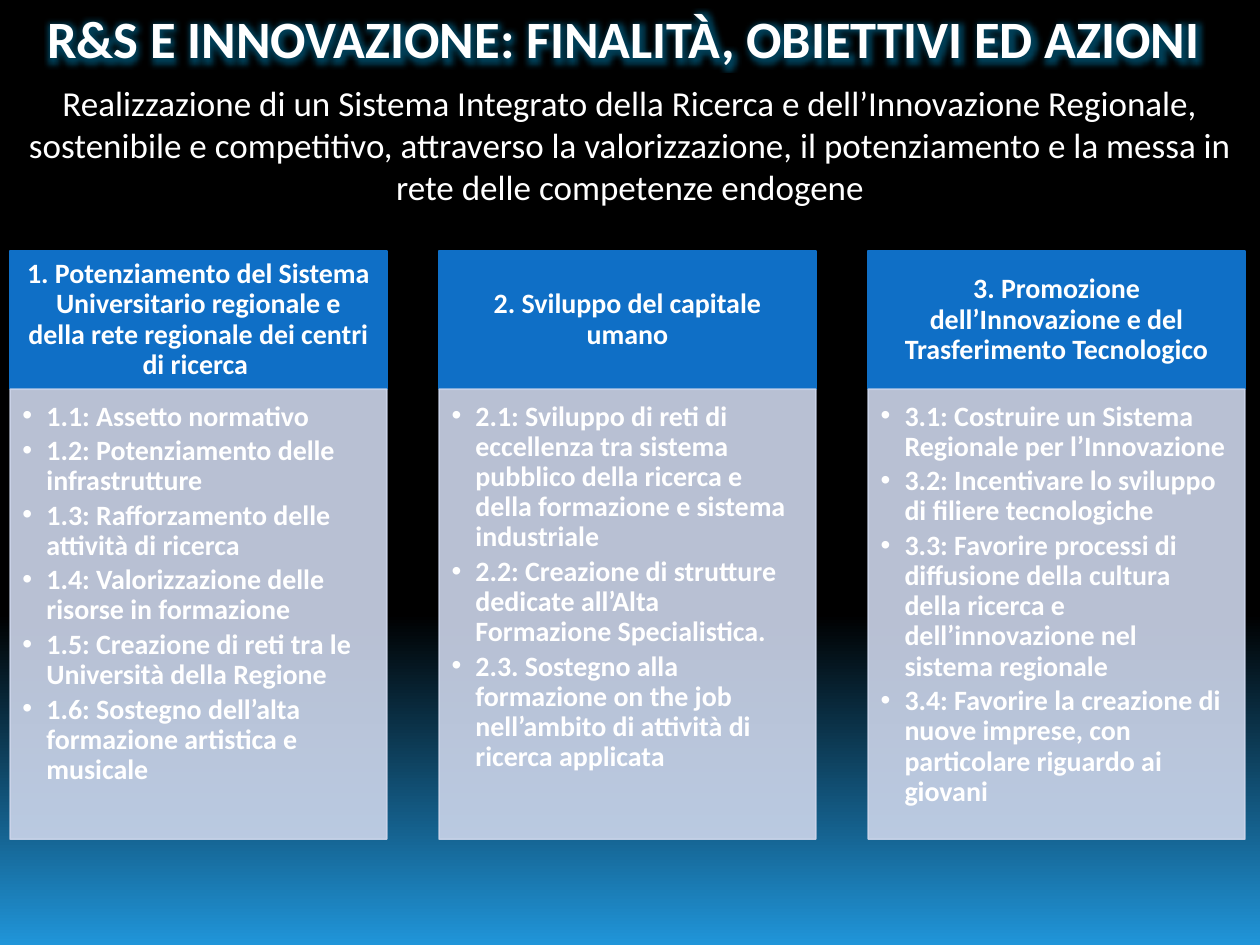
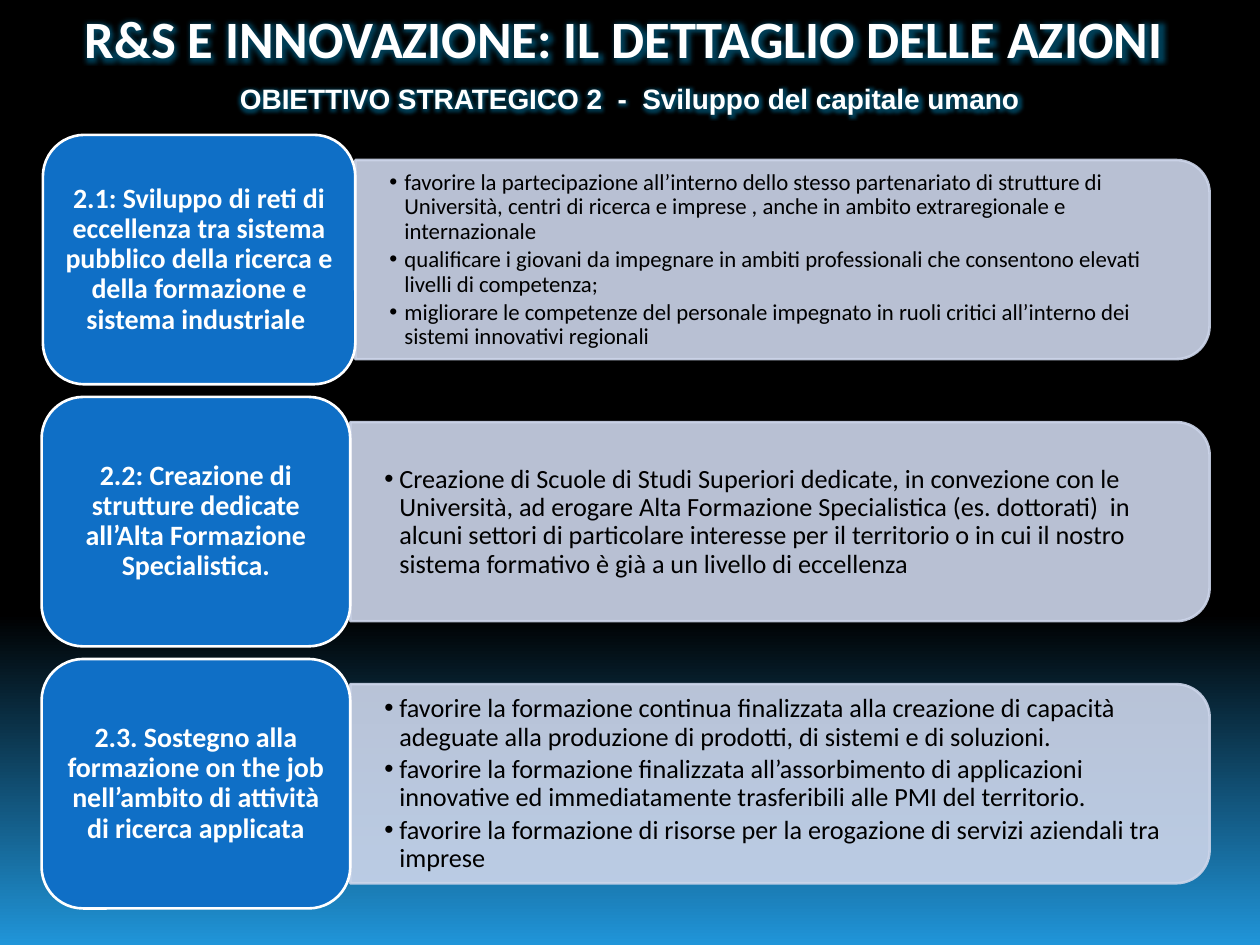
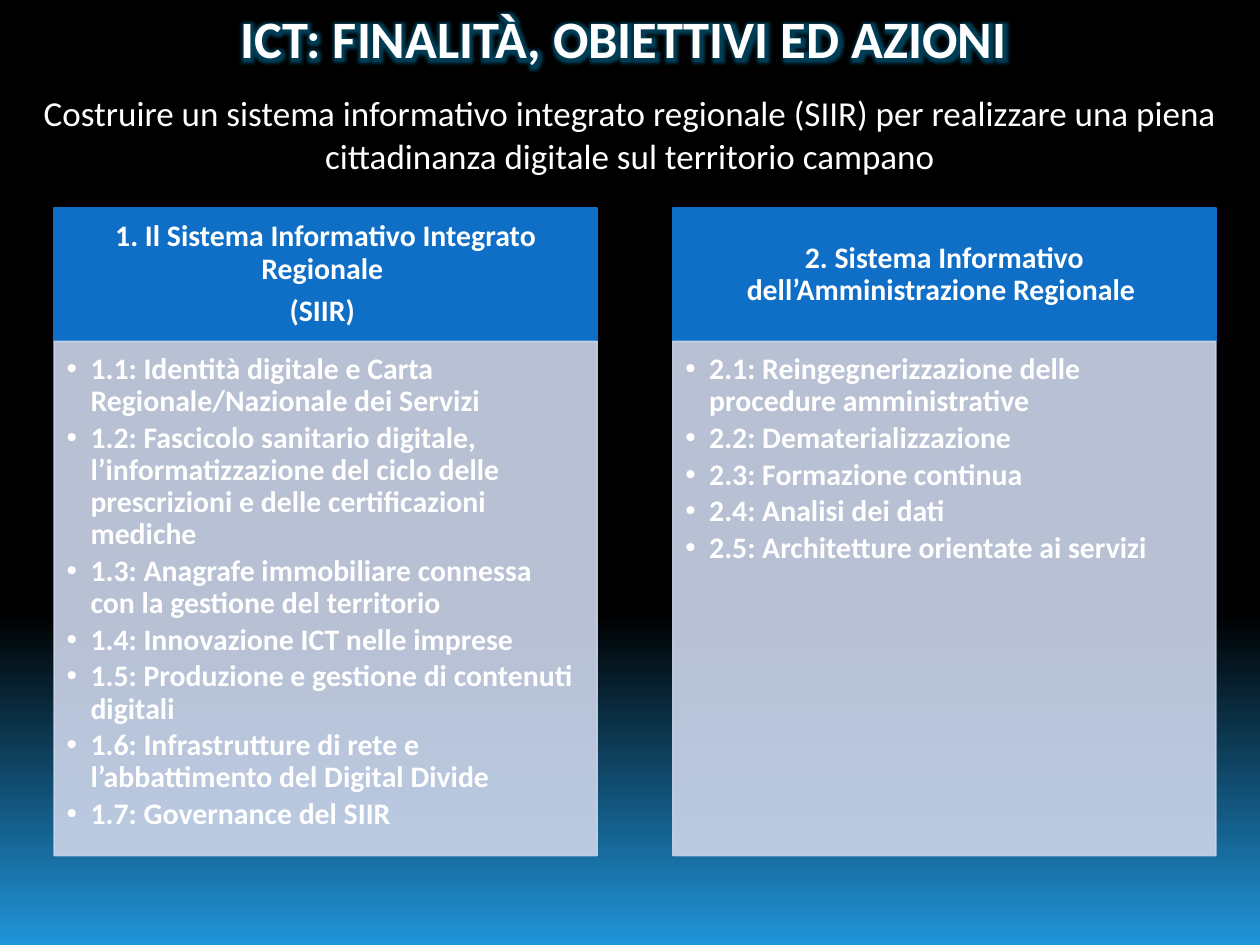
from lxml import etree
from pptx import Presentation
from pptx.dml.color import RGBColor
from pptx.enum import shapes, text
from pptx.oxml.ns import qn
from pptx.util import Inches, Pt

# Shared style
WHITE, BLACK, BLUE, PALE = "FFFFFF", "000000", "0F6FC6", "CCD5EA"
GLOW = "009DD9"
rgb = RGBColor.from_string
CENTER, LEFT = text.PP_ALIGN.CENTER, text.PP_ALIGN.LEFT
TOP, MIDDLE = text.MSO_ANCHOR.TOP, text.MSO_ANCHOR.MIDDLE


def add_box(slide, kind, at, fill, line, width, opacity=100):
    box = slide.shapes.add_shape(kind, *map(Inches, at))
    box.shadow.inherit = False
    box.fill.solid()
    box.fill.fore_color.rgb = rgb(fill)
    box.line.color.rgb = rgb(line)
    box.line.width = Pt(width)
    if opacity < 100:
        for colour in box._element.spPr.iter(qn("a:srgbClr")):
            etree.SubElement(colour, qn("a:alpha"), val=str(opacity * 1000))
    return box


def write(shape, lines, size, colour=WHITE, bold=False, font="Calibri", align=CENTER,
          anchor=MIDDLE, margins=(0.1, 0.05, 0.1, 0.05), spacing=1.0, after=0,
          bullet=0, glow=False):
    """Fill a shape with paragraphs; bullet is the hanging indent in inches."""
    frame = shape.text_frame
    frame.word_wrap = True
    frame.auto_size = text.MSO_AUTO_SIZE.NONE
    frame.vertical_anchor = anchor
    (frame.margin_left, frame.margin_top,
     frame.margin_right, frame.margin_bottom) = map(Inches, margins)
    for i, line in enumerate(lines):
        paragraph = frame.add_paragraph() if i else frame.paragraphs[0]
        paragraph.alignment = align
        paragraph.line_spacing = spacing
        paragraph.space_before = Pt(0)
        paragraph.space_after = Pt(size * after)
        props = paragraph._p.get_or_add_pPr()
        props.set("marL", str(Inches(bullet)))
        props.set("indent", str(-Inches(bullet)))
        if bullet:
            etree.SubElement(props, qn("a:buFont"), typeface="Arial")
            etree.SubElement(props, qn("a:buChar"), char="•")
        else:
            etree.SubElement(props, qn("a:buNone"))
        run = paragraph.add_run()
        run.text = line
        run.font.size, run.font.bold, run.font.name = Pt(size), bold, font
        run.font.color.rgb = rgb(colour)
        if glow:
            effects = etree.Element(qn("a:effectLst"))
            halo = etree.SubElement(effects, qn("a:glow"), rad=str(Pt(8)))
            tint = etree.SubElement(halo, qn("a:srgbClr"), val=GLOW)
            etree.SubElement(tint, qn("a:alpha"), val="40000")
            run.font._element.find(qn("a:solidFill")).addnext(effects)


# Content
headings = [
    dict(title="R&S E INNOVAZIONE: FINALITÀ, OBIETTIVI ED AZIONI ",
         lead="Realizzazione di un Sistema Integrato della Ricerca e dell’Innovazione "
              "Regionale, sostenibile e competitivo, attraverso la valorizzazione, il "
              "potenziamento e la messa in rete delle competenze endogene",
         top=0.6, height=1.11, style=dict(size=20)),
    dict(title="R&S E INNOVAZIONE: IL DETTAGLIO DELLE AZIONI ",
         lead="OBIETTIVO STRATEGICO 2  -  Sviluppo del capitale umano",
         top=0.6, height=0.37, style=dict(size=16, font="Arial", bold=True, glow=True)),
    dict(title="ICT: FINALITÀ, OBIETTIVI ED AZIONI ",
         lead="Costruire un sistema informativo integrato regionale (SIIR) per realizzare "
              "una piena cittadinanza digitale sul territorio campano",
         top=0.68, height=0.77, style=dict(size=20)),
]

research_goals = [
    (["1. Potenziamento del Sistema Universitario regionale e della rete regionale "
      "dei centri di ricerca "],
     ["1.1: Assetto normativo",
      "1.2: Potenziamento delle infrastrutture",
      "1.3: Rafforzamento delle attività di ricerca",
      "1.4: Valorizzazione delle risorse in formazione",
      "1.5: Creazione di reti tra le Università della Regione",
      "1.6: Sostegno dell’alta formazione artistica e musicale"]),
    (["2. Sviluppo del capitale umano"],
     ["2.1: Sviluppo di reti di eccellenza tra sistema pubblico della ricerca e della "
      "formazione e sistema industriale",
      "2.2: Creazione di strutture dedicate all’Alta Formazione Specialistica.",
      "2.3. Sostegno alla formazione on the job nell’ambito di attività di ricerca "
      "applicata"]),
    (["3. Promozione dell’Innovazione e del Trasferimento Tecnologico"],
     ["3.1: Costruire un Sistema Regionale per l’Innovazione",
      "3.2: Incentivare lo sviluppo di filiere tecnologiche",
      "3.3: Favorire processi di diffusione della cultura della ricerca e "
      "dell’innovazione nel sistema regionale",
      "3.4: Favorire la creazione di nuove imprese, con particolare riguardo ai giovani"]),
]

ict_goals = [
    (["1. Il Sistema Informativo Integrato Regionale ", "(SIIR) "],
     ["1.1: Identità digitale e Carta Regionale/Nazionale dei Servizi",
      "1.2: Fascicolo sanitario digitale, l’informatizzazione del ciclo delle "
      "prescrizioni e delle certificazioni mediche",
      "1.3: Anagrafe immobiliare connessa con la gestione del territorio",
      "1.4: Innovazione ICT nelle imprese",
      "1.5: Produzione e gestione di contenuti digitali",
      "1.6: Infrastrutture di rete e l’abbattimento del Digital Divide",
      "1.7: Governance del SIIR"]),
    (["2. Sistema Informativo dell’Amministrazione Regionale "],
     ["2.1: Reingegnerizzazione delle procedure amministrative",
      "2.2: Dematerializzazione",
      "2.3: Formazione continua",
      "2.4: Analisi dei dati",
      "2.5: Architetture orientate ai servizi"]),
]

# Each action: left, width, list size, label, measures
actions = [
    (0.34, 2.48, 13,
     "2.1: Sviluppo di reti di eccellenza tra sistema pubblico della ricerca e della "
     "formazione e sistema industriale ",
     ["favorire la partecipazione all’interno dello stesso partenariato di strutture di "
      "Università, centri di ricerca e imprese , anche in ambito extraregionale e "
      "internazionale",
      "qualificare i giovani da impegnare in ambiti professionali che consentono elevati "
      "livelli di competenza;",
      "migliorare le competenze del personale impegnato in ruoli critici all’interno dei "
      "sistemi innovativi regionali"]),
    (0.33, 2.45, 15,
     "2.2: Creazione di strutture dedicate all’Alta Formazione Specialistica.",
     ["Creazione di Scuole di Studi Superiori dedicate, in convezione con le Università, "
      "ad erogare Alta Formazione Specialistica (es. dottorati)  in alcuni settori di "
      "particolare interesse per il territorio o in cui il nostro sistema formativo è già "
      "a un livello di eccellenza"]),
    (0.33, 2.45, 15,
     "2.3. Sostegno alla formazione on the job nell’ambito di attività di ricerca applicata",
     ["favorire la formazione continua finalizzata alla creazione di capacità adeguate "
      "alla produzione di prodotti, di sistemi e di soluzioni.",
      "favorire la formazione finalizzata all’assorbimento di applicazioni innovative ed "
      "immediatamente trasferibili alle PMI del territorio.",
      "favorire la formazione di risorse per la erogazione di servizi aziendali tra "
      "imprese"]),
]

# Presentation and shared background
deck = Presentation()
deck.slide_width, deck.slide_height = Inches(10), Inches(7.5)
backdrop = deck.slide_master.background.fill
backdrop.gradient()
backdrop.gradient_angle = 270
for stop, position, colour in zip(backdrop.gradient_stops, (0.65, 1), (BLACK, "2095D9")):
    stop.position = position
    stop.color.rgb = rgb(colour)

# Titles and lead statements
for heading in headings:
    slide = deck.slides.add_slide(deck.slide_layouts[1])
    title, lead = slide.placeholders
    for part, top, height in ((title, 0, 0.6), (lead, heading["top"], heading["height"])):
        part.left, part.top = Inches(0), Inches(top)
        part.width, part.height = Inches(10), Inches(height)
    write(title, [heading["title"]], size=30, bold=True, glow=True)
    write(lead, [heading["lead"]], anchor=TOP, **heading["style"])
research, detail, ict = deck.slides

# Goal columns: header above a list panel
RECT = shapes.MSO_SHAPE.RECTANGLE
for slide, goals, left, pitch, width, top, header, panel, size in (
        (research, research_goals, 0.08, 3.405, 2.99, 1.99, 1.1, 3.57, 16),
        (ict, ict_goals, 0.43, 4.91, 4.31, 1.65, 1.06, 4.08, 17)):
    for i, (goal, measures) in enumerate(goals):
        x = left + i * pitch
        goal_box = add_box(slide, RECT, (x, top, width, header), BLUE, BLUE, 0.94)
        write(goal_box, goal, size, bold=True, margins=(0.12, 0.07, 0.12, 0.07),
              spacing=0.9, after=0.35)
        list_box = add_box(slide, RECT, (x, top + header, width, panel),
                           PALE, PALE, 0.94, opacity=90)
        write(list_box, measures, size, bold=True, align=LEFT, anchor=TOP,
              margins=(0.1, 0.1, 0.12, 0.14), spacing=0.9, after=0.15, bullet=0.19)

# Action rows: rounded label beside a list panel turned by 90 degrees
LABEL_HEIGHT, PANEL_HEIGHT, PANEL_RIGHT = 1.98, 1.58, 9.6
for i, (left, width, size, action, measures) in enumerate(actions):
    top = 1.07 + i * 2.08
    panel_left = left + width
    length = PANEL_RIGHT - panel_left
    middle = top + LABEL_HEIGHT / 2
    panel = add_box(detail, shapes.MSO_SHAPE.ROUND_2_SAME_RECTANGLE,
                    (panel_left + (length - PANEL_HEIGHT) / 2, middle - length / 2,
                     PANEL_HEIGHT, length), PALE, PALE, 1.5, opacity=90)
    panel.rotation = 90
    measure_box = detail.shapes.add_textbox(
        Inches(panel_left), Inches(middle - 0.71), Inches(length - 0.08), Inches(1.43))
    write(measure_box, measures, size, colour=BLACK, align=LEFT,
          margins=(0.27, 0.14, 0.27, 0.14), spacing=0.9, after=0.15, bullet=0.12)
    label = add_box(detail, shapes.MSO_SHAPE.ROUNDED_RECTANGLE,
                    (left, top, width, LABEL_HEIGHT), BLUE, WHITE, 1.5)
    write(label, [action], 16, bold=True, margins=(0.07, 0.03, 0.07, 0.03),
          spacing=0.9, after=0.35)

deck.save("out.pptx")
